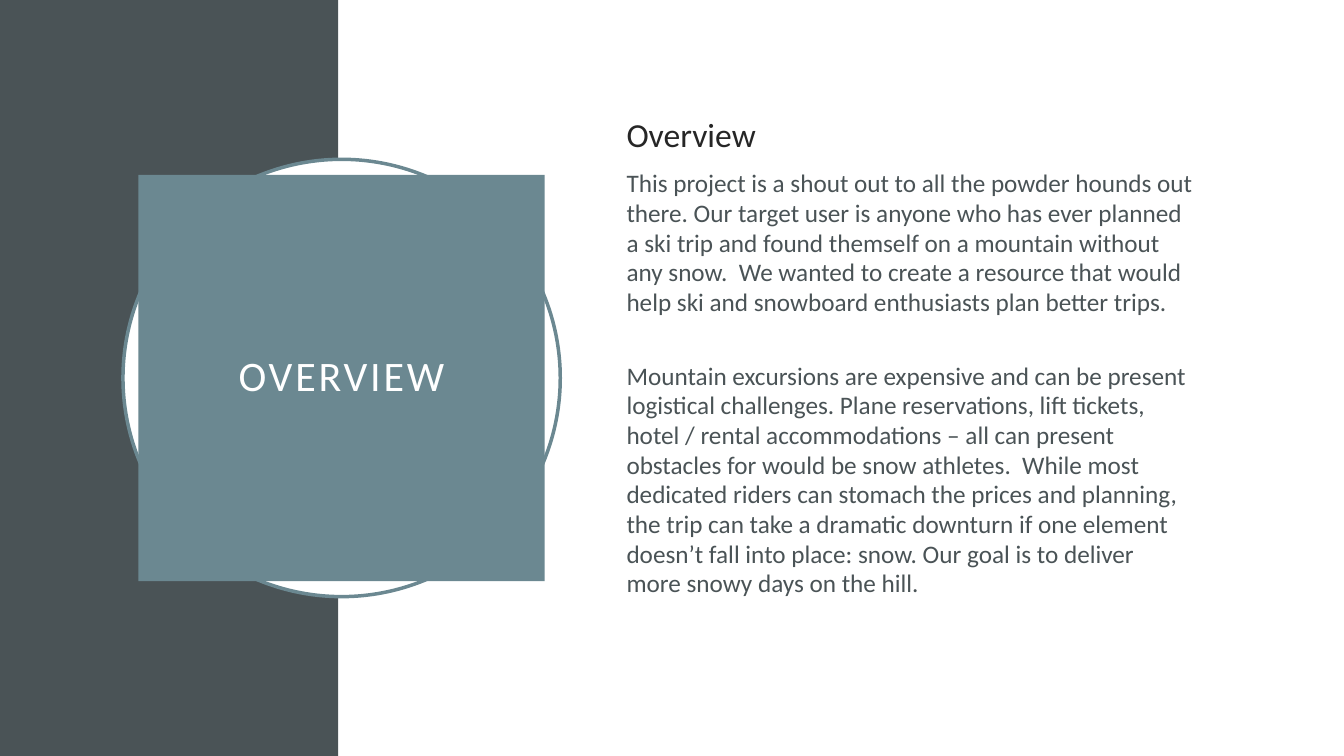
from pptx import Presentation
from pptx.dml.color import RGBColor
from pptx.enum.shapes import MSO_SHAPE
from pptx.enum.text import MSO_ANCHOR, PP_ALIGN
from pptx.util import Cm, Pt

RECTANGLE, OVAL = MSO_SHAPE.RECTANGLE, MSO_SHAPE.OVAL
MIDDLE, TOP = MSO_ANCHOR.MIDDLE, MSO_ANCHOR.TOP
CENTER, LEFT = PP_ALIGN.CENTER, PP_ALIGN.LEFT

COLORS = {
    "slate": "4A5356",
    "teal": "6B8891",
    "white": "FFFFFF",
    "ink": "262626",
}
WIDTH, HEIGHT = 33.87, 19.05
BAND_WIDTH = 8.53
CENTER_X, CENTER_Y = 8.61, HEIGHT / 2
RING_SIZE, TILE_SIZE = 11.02, 10.24


def color(name):
    return RGBColor.from_string(COLORS[name])


def add_block(kind, left, top, width, height, fill):
    """Add a filled shape without outline or shadow, measured in cm."""
    block = slide.shapes.add_shape(kind, Cm(left), Cm(top), Cm(width), Cm(height))
    block.shadow.inherit = False
    block.fill.solid()
    block.fill.fore_color.rgb = color(fill)
    block.line.fill.background()
    return block


prs = Presentation()
prs.slide_width, prs.slide_height = Cm(WIDTH), Cm(HEIGHT)
slide = prs.slides.add_slide(prs.slide_layouts[6])

# Background halves
add_block(RECTANGLE, 0, 0, BAND_WIDTH, HEIGHT, "slate")
add_block(RECTANGLE, BAND_WIDTH, 0, WIDTH - BAND_WIDTH, HEIGHT, "white")

# Ring and title tile share one centre
ring, title_tile = [
    add_block(kind, CENTER_X - size / 2, CENTER_Y - size / 2, size, size, fill)
    for kind, size, fill in [(OVAL, RING_SIZE, "white"), (RECTANGLE, TILE_SIZE, "teal")]
]
ring.line.color.rgb = color("teal")
ring.line.width = Pt(2.5)

title_frame = title_tile.text_frame
title_format = {
    "word_wrap": True,
    "vertical_anchor": MIDDLE,
    "margin_left": Cm(0.5),
    "margin_right": Cm(0.5),
    "margin_top": Cm(0.5),
    "margin_bottom": Cm(0.5),
}
for attribute, value in title_format.items():
    setattr(title_frame, attribute, value)
title = title_frame.paragraphs[0]
title.alignment = CENTER
title.line_spacing = 0.9
title_run = title.add_run()
title_run.text = "OVERVIEW"
title_run.font.name = "Calibri"
title_run.font.size = Pt(30)
title_run.font.color.rgb = color("white")
title_run.font._element.set("spc", "200")

# Heading and body text: wording, size, colour, space before in points
passages = [
    ("Overview", 24, "ink", 0),
    (
        "This project is a shout out to all the powder hounds out there. "
        "Our target user is anyone who has ever planned a ski trip and found "
        "themself on a mountain without any snow.  We wanted to create a resource "
        "that would help ski and snowboard enthusiasts plan better trips.",
        18, "slate", 10,
    ),
    (
        "Mountain excursions are expensive and can be present logistical "
        "challenges. Plane reservations, lift tickets, hotel / rental "
        "accommodations – all can present obstacles for would be snow athletes.  "
        "While most dedicated riders can stomach the prices and planning, the trip "
        "can take a dramatic downturn if one element doesn’t fall into place: snow. "
        "Our goal is to deliver more snowy days on the hill.",
        18, "slate", 31.6,
    ),
]
overview = slide.shapes.add_textbox(Cm(15.54), Cm(2.79), Cm(14.78), Cm(13.97))
overview_frame = overview.text_frame
overview_frame.word_wrap = True
overview_frame.vertical_anchor = TOP
for index, (wording, size, ink, space_before) in enumerate(passages):
    passage = overview_frame.add_paragraph() if index else overview_frame.paragraphs[0]
    passage.alignment = LEFT
    passage.line_spacing = 0.98
    if index:
        passage.space_before = Pt(space_before)
    run = passage.add_run()
    run.text = wording
    run.font.name = "Calibri"
    run.font.size = Pt(size)
    run.font.color.rgb = color(ink)

prs.save("out.pptx")
